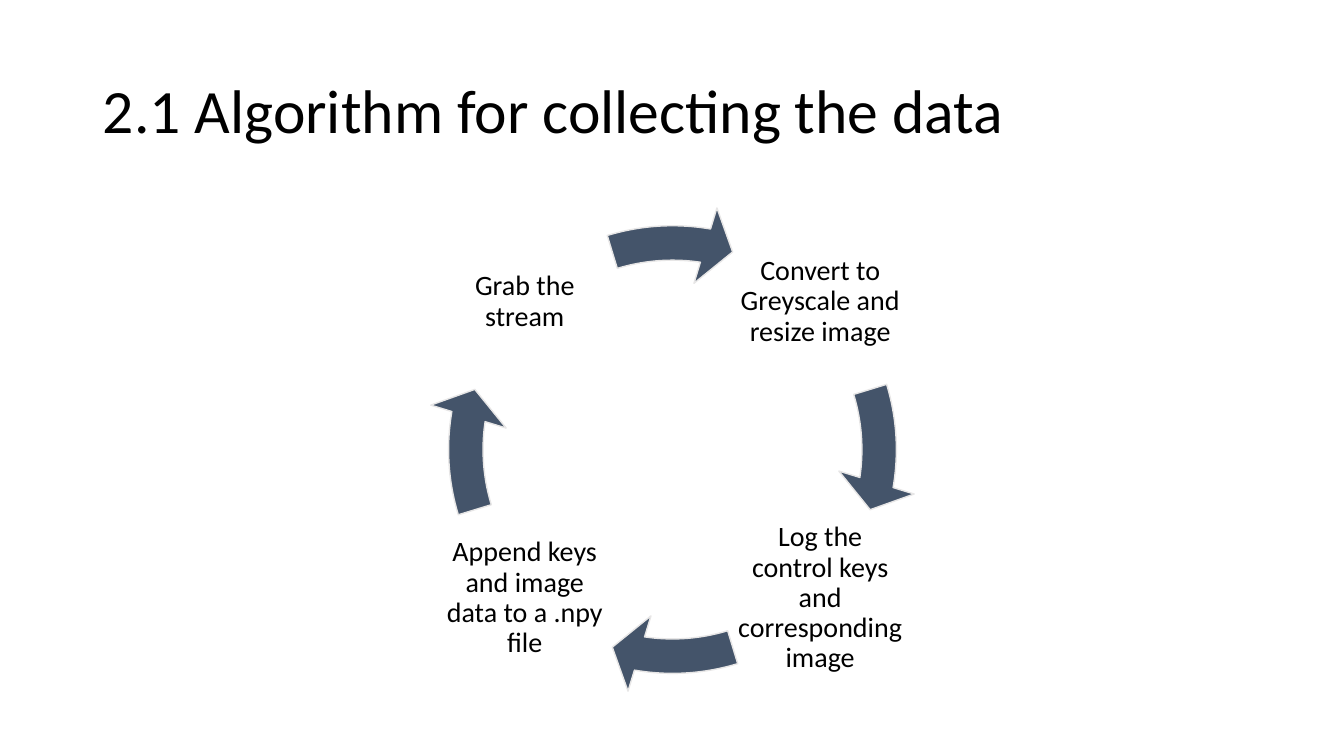
import pptx
import pptx.util
import pptx.dml.color
import pptx.enum.shapes
import pptx.enum.text

Inches = pptx.util.Inches
Pt = pptx.util.Pt
RGB = pptx.dml.color.RGBColor
ALIGN = pptx.enum.text.PP_ALIGN
MIDDLE = pptx.enum.text.MSO_ANCHOR.MIDDLE

THEME = {
    "font": "Calibri",
    "title": Pt(44),
    "label": Pt(20),
    "ink": RGB.from_string("000000"),
    "arrow": RGB.from_string("44546A"),
    "edge": RGB.from_string("E7E6E6"),
}


def write(frame, text, size, align):
    frame.word_wrap = True
    frame.auto_size = pptx.enum.text.MSO_AUTO_SIZE.NONE
    frame.vertical_anchor = MIDDLE
    para = frame.paragraphs[0]
    para.alignment = align
    para.line_spacing = 0.9
    run = para.add_run()
    run.text = text
    run.font.name = THEME["font"]
    run.font.size = size
    run.font.color.rgb = THEME["ink"]


# Slide
deck = pptx.Presentation()
deck.slide_width = Inches(13.33)
deck.slide_height = Inches(7.5)
slide = deck.slides.add_slide(deck.slide_layouts[5])

# Title
title = slide.shapes.title
title.left, title.top = Inches(0.92), Inches(0.4)
title.width, title.height = Inches(11.5), Inches(1.45)
write(title.text_frame, "2.1 Algorithm for collecting the data",
      THEME["title"], ALIGN.LEFT)

# Cycle: each label is followed by the arrow that leads into it or on,
# a quarter turn further round the ring every time
LEFT, RIGHT, TOP, LOW = 4.34, 7.27, 2.13, 5.07
SIDE, RING = 1.73, 4.88
QUARTER = 54  # 90 degrees in arrow adjustment units
FULL = 4 * QUARTER
steps = [
    ("Convert to Greyscale and resize image", RIGHT, TOP),
    ("Log the control keys and corresponding image", RIGHT, LOW),
    ("Append keys and image data to a .npy file", LEFT, LOW),
    ("Grab the stream", LEFT, TOP),
]

for turn, (text, x, y) in enumerate(steps):
    # Label
    box = slide.shapes.add_textbox(Inches(x), Inches(y),
                                   Inches(SIDE), Inches(SIDE))
    frame = box.text_frame
    frame.margin_left = frame.margin_right = Inches(0.03)
    frame.margin_top = frame.margin_bottom = Inches(0.03)
    write(frame, text, THEME["label"], ALIGN.CENTER)

    # Arrow
    arrow = slide.shapes.add_shape(
        pptx.enum.shapes.MSO_SHAPE.CIRCULAR_ARROW,
        Inches(4.23), Inches(2.02), Inches(RING), Inches(RING))
    shift = turn * QUARTER
    sizes = (0.07, 4.65, 5.51 + shift, (205.84 + shift) % FULL, 0.08)
    for spot, size in enumerate(sizes):
        arrow.adjustments[spot] = size
    arrow.shadow.inherit = False
    arrow.fill.solid()
    arrow.fill.fore_color.rgb = THEME["arrow"]
    arrow.line.color.rgb = THEME["edge"]
    arrow.line.width = Pt(1)

deck.save("out.pptx")
